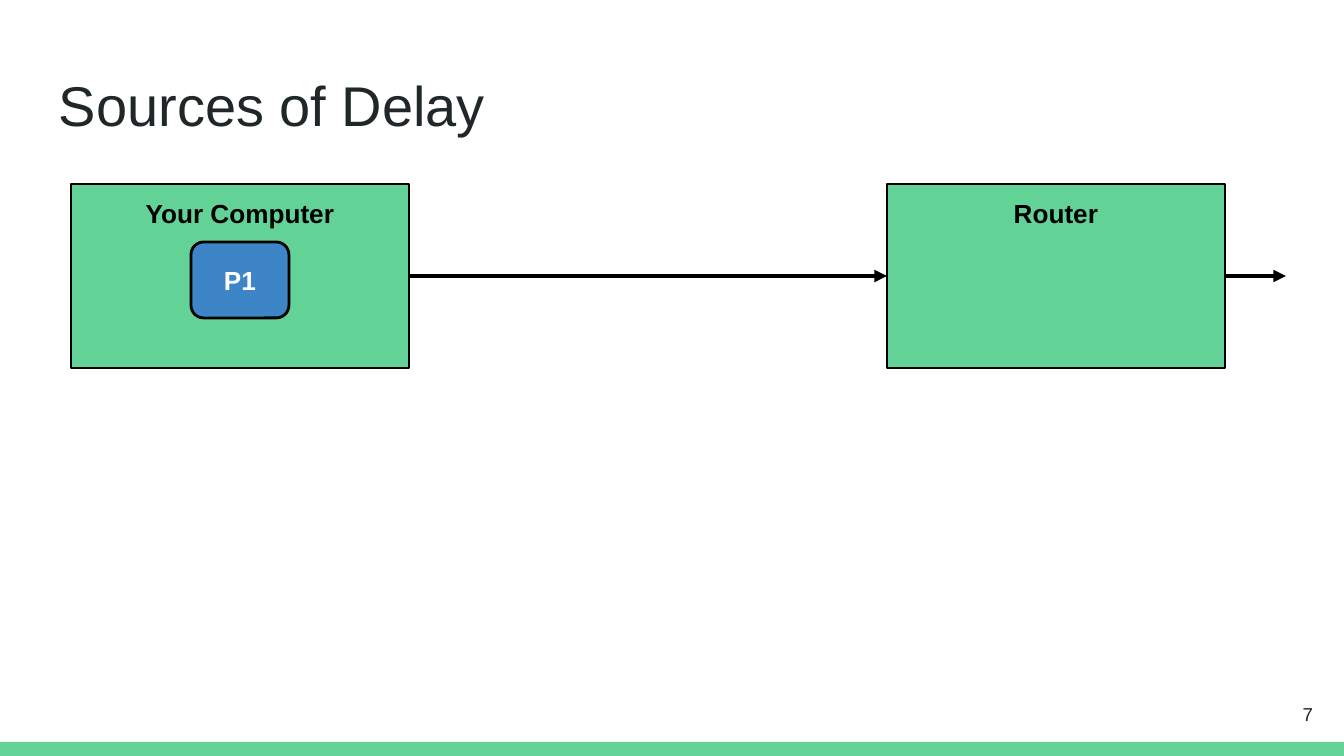
from pptx import Presentation
from pptx.dml.color import RGBColor
from pptx.enum.shapes import MSO_CONNECTOR as Connector, MSO_SHAPE as Shape
from pptx.enum.text import MSO_ANCHOR as Anchor, PP_ALIGN as Align
from pptx.oxml.ns import qn
from pptx.util import Emu, Pt
from lxml.etree import SubElement

PX = 914400 / 134.4
THEME = {
    "font": "Arial",
    "green": RGBColor.from_string("63D297"),
    "blue": RGBColor.from_string("3D85C6"),
    "ink": RGBColor.from_string("202729"),
    "black": RGBColor.from_string("000000"),
    "white": RGBColor.from_string("FFFFFF"),
    "title": Pt(30),
    "label": Pt(14),
    "number": Pt(10),
}


def px(*lengths):
    return [Emu(round(length * PX)) for length in lengths]


def write(box, text, size, color, bold=False, align=Align.LEFT, anchor=Anchor.TOP):
    frame = box.text_frame
    margin = px(13)[0]
    frame_format = {
        "word_wrap": True,
        "vertical_anchor": anchor,
        "margin_left": margin,
        "margin_right": margin,
        "margin_top": margin,
        "margin_bottom": margin,
    }
    for name, value in frame_format.items():
        setattr(frame, name, value)
    para = frame.paragraphs[0]
    para.alignment = align
    span = para.add_run()
    span.text = text
    for name, value in {"name": THEME["font"], "size": THEME[size], "bold": bold}.items():
        setattr(span.font, name, value)
    span.font.color.rgb = THEME[color]


deck = Presentation()
deck.slide_width, deck.slide_height = px(1344, 756)
page = deck.slides.add_slide(deck.slide_layouts[6])
shapes = page.shapes

footer = shapes.add_shape(Shape.RECTANGLE, *px(0, 742, 1344, 14))
footer.shadow.inherit = False
footer.fill.solid()
footer.fill.fore_color.rgb = THEME["green"]
footer.line.fill.background()

title = shapes.add_textbox(*px(46, 58, 1253, 91))
write(title, "Sources of Delay", "title", "ink")
number = shapes.add_textbox(*px(1246, 685, 80, 58))
write(number, "7", "number", "ink", align=Align.RIGHT, anchor=Anchor.MIDDLE)

blocks = [
    ("Router", Shape.RECTANGLE, (887, 184, 338, 184), "green", 0.75, "black", Anchor.TOP),
    ("Your Computer", Shape.RECTANGLE, (71, 184, 338, 184), "green", 0.75, "black", Anchor.TOP),
    ("P1", Shape.ROUNDED_RECTANGLE, (191, 242, 98, 76), "blue", 1.5, "white", Anchor.MIDDLE),
]
boxes = {}
for label, kind, place, fill, weight, color, anchor in blocks:
    box = shapes.add_shape(kind, *px(*place))
    box.shadow.inherit = False
    box.fill.solid()
    box.fill.fore_color.rgb = THEME[fill]
    box.line.color.rgb = THEME["black"]
    box.line.width = Pt(weight)
    write(box, label, "label", color, bold=True, align=Align.CENTER, anchor=anchor)
    boxes[label] = box

links = [("Your Computer", "Router", 409, 887), ("Router", None, 1225, 1286)]
for source, target, start, end in links:
    arrow = shapes.add_connector(Connector.STRAIGHT, *px(start, 276, end, 276))
    arrow.begin_connect(boxes[source], 3)
    if target:
        arrow.end_connect(boxes[target], 1)
    arrow.line.color.rgb = THEME["black"]
    arrow.line.width = Pt(2.25)
    SubElement(arrow.line._get_or_add_ln(), qn("a:tailEnd"), type="triangle")
    SubElement(arrow._element.spPr, qn("a:effectLst"))

deck.save("out.pptx")
